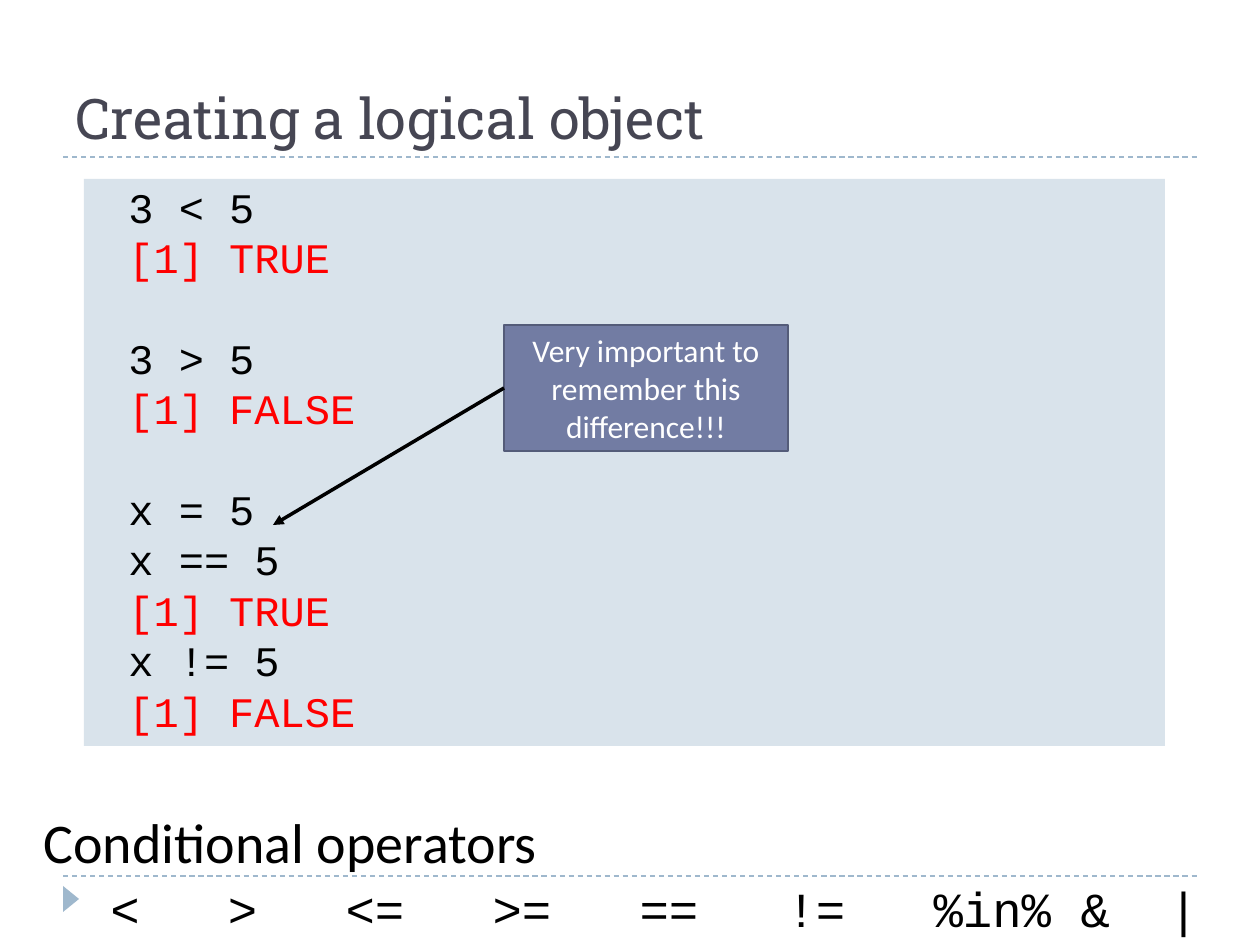
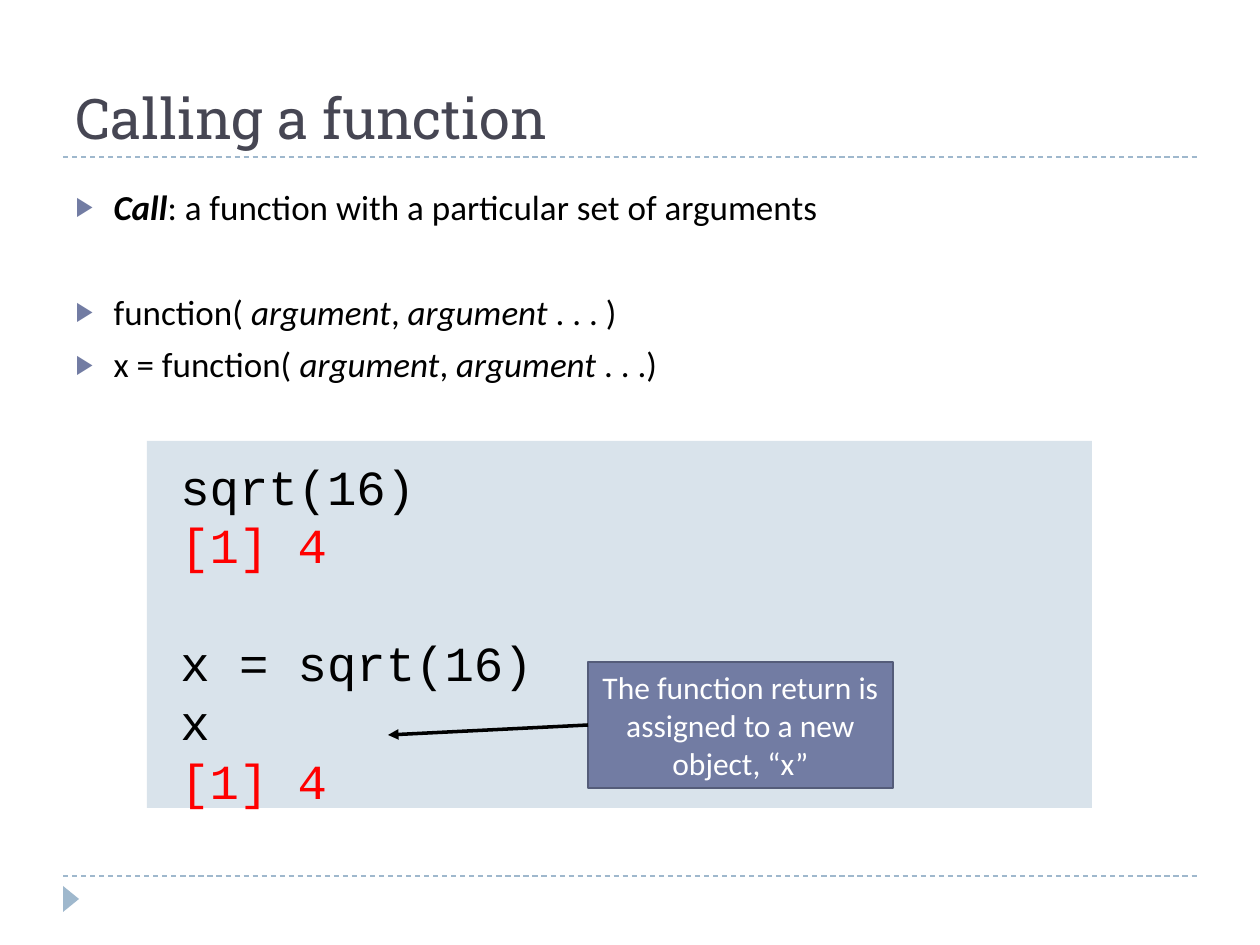
from dataclasses import dataclass

from lxml.etree import SubElement
from pptx import Presentation
from pptx.dml.color import RGBColor
from pptx.enum.dml import MSO_LINE
from pptx.enum.shapes import MSO_CONNECTOR, MSO_SHAPE
from pptx.enum.text import MSO_ANCHOR, MSO_AUTO_SIZE, PP_ALIGN
from pptx.oxml.ns import qn
from pptx.shapes.autoshape import Shape
from pptx.shapes.connector import Connector
from pptx.slide import Slide
from pptx.text.text import Font, TextFrame
from pptx.util import Emu, Pt

EMU_PER_PIXEL = 914400 / 126
SLIDE_WIDTH, SLIDE_HEIGHT = 1260, 945
MARGIN = 63
RULE_YS = (157, 876)

BLACK = RGBColor(0x00, 0x00, 0x00)
WHITE = RGBColor(0xFF, 0xFF, 0xFF)
RED = RGBColor(0xFF, 0x00, 0x00)
TITLE_INK = RGBColor(0x46, 0x46, 0x53)
RULE_BLUE = RGBColor(0x9F, 0xB8, 0xCD)
PANEL_BLUE = RGBColor(0xD9, 0xE3, 0xEB)
ACCENT = RGBColor(0x72, 0x7C, 0xA3)
ACCENT_EDGE = RGBColor(0x54, 0x5C, 0x79)

TITLE_FONT, BODY_FONT, CODE_FONT = "Roboto Slab", "Calibri", "Courier New"
CODE_LEADING = 1.2
CODE_ADVANCE = 0.6


@dataclass(frozen=True)
class Box:
    left: int
    top: int
    width: int
    height: int

    def emu(self) -> tuple[Emu, ...]:
        return tuple(px(v) for v in (self.left, self.top, self.width, self.height))


@dataclass(frozen=True)
class CodePanel:
    panel: Box
    code: Box
    size: int
    groups: tuple[tuple[str, ...], ...]


@dataclass(frozen=True)
class Callout:
    box: Box
    message: str
    target: tuple[int, int]


@dataclass(frozen=True)
class Piece:
    text: str
    bold: bool = False
    italic: bool = False


def px(pixels: float) -> Emu:
    return Emu(round(pixels * EMU_PER_PIXEL))


def style(font: Font, name: str, size: int, color: RGBColor) -> None:
    font.name, font.size = name, Pt(size)
    font.color.rgb = color


def add_block(slide: Slide, kind: MSO_SHAPE, box: Box, fill: RGBColor) -> Shape:
    block = slide.shapes.add_shape(kind, *box.emu())
    block.shadow.inherit = False
    block.fill.solid()
    block.fill.fore_color.rgb = fill
    block.line.fill.background()
    return block


def add_line(slide: Slide, start: tuple[int, int], end: tuple[int, int],
             color: RGBColor, weight: float) -> Connector:
    line = slide.shapes.add_connector(
        MSO_CONNECTOR.STRAIGHT, *(px(v) for v in (*start, *end)))
    line.line.color.rgb = color
    line.line.width = Pt(weight)
    SubElement(line.element.spPr, qn("a:effectLst"))
    return line


def add_text(slide: Slide, box: Box) -> TextFrame:
    frame = slide.shapes.add_textbox(*box.emu()).text_frame
    frame.word_wrap = True
    return frame


def add_label(slide: Slide, box: Box, text: str, font: str, size: int) -> TextFrame:
    frame = add_text(slide, box)
    frame.text = text
    style(frame.paragraphs[0].runs[0].font, font, size, BLACK)
    return frame


def place(holder: Shape, box: Box) -> TextFrame:
    holder.left, holder.top, holder.width, holder.height = box.emu()
    holder.text_frame.auto_size = MSO_AUTO_SIZE.NONE
    return holder.text_frame


def start_slide(deck: Presentation, layout: int, heading: str) -> Slide:
    slide = deck.slides.add_slide(deck.slide_layouts[layout])
    for y in RULE_YS:
        rule = add_line(slide, (MARGIN, y), (SLIDE_WIDTH - MARGIN, y), RULE_BLUE, 0.75)
        rule.line.dash_style = MSO_LINE.DASH
    marker = add_block(slide, MSO_SHAPE.ISOSCELES_TRIANGLE, Box(58, 891, 26, 16), RULE_BLUE)
    marker.rotation = 90
    frame = place(slide.shapes.title, Box(MARGIN, 21, SLIDE_WIDTH - 2 * MARGIN, 136))
    frame.vertical_anchor = MSO_ANCHOR.BOTTOM
    frame.text = heading
    frame.paragraphs[0].alignment = PP_ALIGN.LEFT
    style(frame.paragraphs[0].runs[0].font, TITLE_FONT, 32, TITLE_INK)
    return slide


def add_code(slide: Slide, listing: CodePanel) -> None:
    add_block(slide, MSO_SHAPE.RECTANGLE, listing.panel, PANEL_BLUE)
    frame = add_text(slide, listing.code)
    frame.text = "\n".join(line for group in listing.groups for line in group)
    leading = Pt(listing.size * CODE_LEADING)
    group_starts = {sum(map(len, listing.groups[:i])) for i in range(1, len(listing.groups))}
    for index, line in enumerate(frame.paragraphs):
        line.line_spacing = leading
        if index in group_starts:
            line.space_before = leading
        color = RED if line.text.startswith("[1]") else BLACK
        style(line.runs[0].font, CODE_FONT, listing.size, color)


def add_callout(slide: Slide, callout: Callout) -> None:
    box = callout.box
    note = add_block(slide, MSO_SHAPE.RECTANGLE, box, ACCENT)
    note.line.color.rgb = ACCENT_EDGE
    note.line.width = Pt(1.5)
    frame = note.text_frame
    frame.word_wrap = True
    frame.vertical_anchor = MSO_ANCHOR.MIDDLE
    frame.text = callout.message
    frame.paragraphs[0].alignment = PP_ALIGN.CENTER
    style(frame.paragraphs[0].runs[0].font, BODY_FONT, 18, WHITE)
    arrow = add_line(slide, (box.left, box.top + box.height // 2), callout.target, BLACK, 2)
    SubElement(arrow.line._get_or_add_ln(), qn("a:tailEnd"), type="triangle")


def add_operators(slide: Slide, box: Box, columns: dict[str, int], size: int) -> None:
    frame = add_label(slide, box, "\t".join(columns), CODE_FONT, size)
    stops = SubElement(frame.paragraphs[0]._p.get_or_add_pPr(), qn("a:tabLst"))
    for column in list(columns.values())[1:]:
        position = Pt(column * size * CODE_ADVANCE)
        SubElement(stops, qn("a:tab"), pos=str(position), algn="l")


def add_bullets(frame: TextFrame, items: tuple[tuple[int, tuple[Piece, ...]], ...]) -> None:
    for index, (gap, pieces) in enumerate(items):
        bullet = frame.add_paragraph() if index else frame.paragraphs[0]
        bullet.space_before = Pt(gap)
        for piece in pieces:
            run = bullet.add_run()
            run.text = piece.text
            style(run.font, BODY_FONT, 20, BLACK)
            run.font.bold, run.font.italic = piece.bold, piece.italic
        props = bullet._p.get_or_add_pPr()
        props.set("marL", str(px(38)))
        props.set("indent", str(px(-38)))
        SubElement(SubElement(props, qn("a:buClr")), qn("a:srgbClr"), val=str(ACCENT))
        SubElement(props, qn("a:buSzPct"), val="76000")
        SubElement(props, qn("a:buChar"), char="\u25b6")


def call_pieces(opening: str, closing: str) -> tuple[Piece, ...]:
    argument = Piece("argument", italic=True)
    return Piece(opening), argument, Piece(", "), argument, Piece(closing)


def build_logical(deck: Presentation) -> None:
    slide = start_slide(deck, 5, "Creating a logical object")
    add_code(slide, CodePanel(
        Box(84, 179, 1081, 567), Box(116, 175, 1040, 692), 24,
        (("3 < 5", "[1] TRUE"),
         ("3 > 5", "[1] FALSE"),
         ("x = 5", "x == 5", "[1] TRUE", "x != 5", "[1] FALSE"))))
    add_callout(slide, Callout(
        Box(504, 325, 284, 126), "Very important to remember this difference!!!", (273, 525)))
    add_operators(slide, Box(98, 872, 1120, 72), {
        "<": 0, ">": 4, "<=": 8, ">=": 13, "==": 18, "!=": 23, "%in%": 28, "&": 33, "|": 36}, 28)
    add_label(slide, Box(31, 801, 536, 81), "Conditional operators", BODY_FONT, 32)


def build_calling(deck: Presentation) -> None:
    slide = start_slide(deck, 1, "Calling a function")
    body = place(slide.placeholders[1], Box(MARGIN, 179, SLIDE_WIDTH - 2 * MARGIN, 189))
    add_bullets(body, (
        (6, (Piece("Call", bold=True, italic=True),
             Piece(": a function with a particular set of arguments"))),
        (36, call_pieces("function( ", " . . . )")),
        (6, call_pieces("x = function( ", " . . .)"))))
    add_code(slide, CodePanel(
        Box(147, 441, 945, 367), Box(168, 450, 630, 369), 28,
        (("sqrt(16)", "[1] 4"), ("x = sqrt(16)", "x", "[1] 4"))))
    add_callout(slide, Callout(
        Box(588, 662, 305, 126),
        "The function return is assigned to a new object, \u201cx\u201d", (388, 735)))


def main() -> None:
    deck = Presentation()
    deck.slide_width, deck.slide_height = px(SLIDE_WIDTH), px(SLIDE_HEIGHT)
    build_logical(deck)
    build_calling(deck)
    deck.save("out.pptx")


main()
